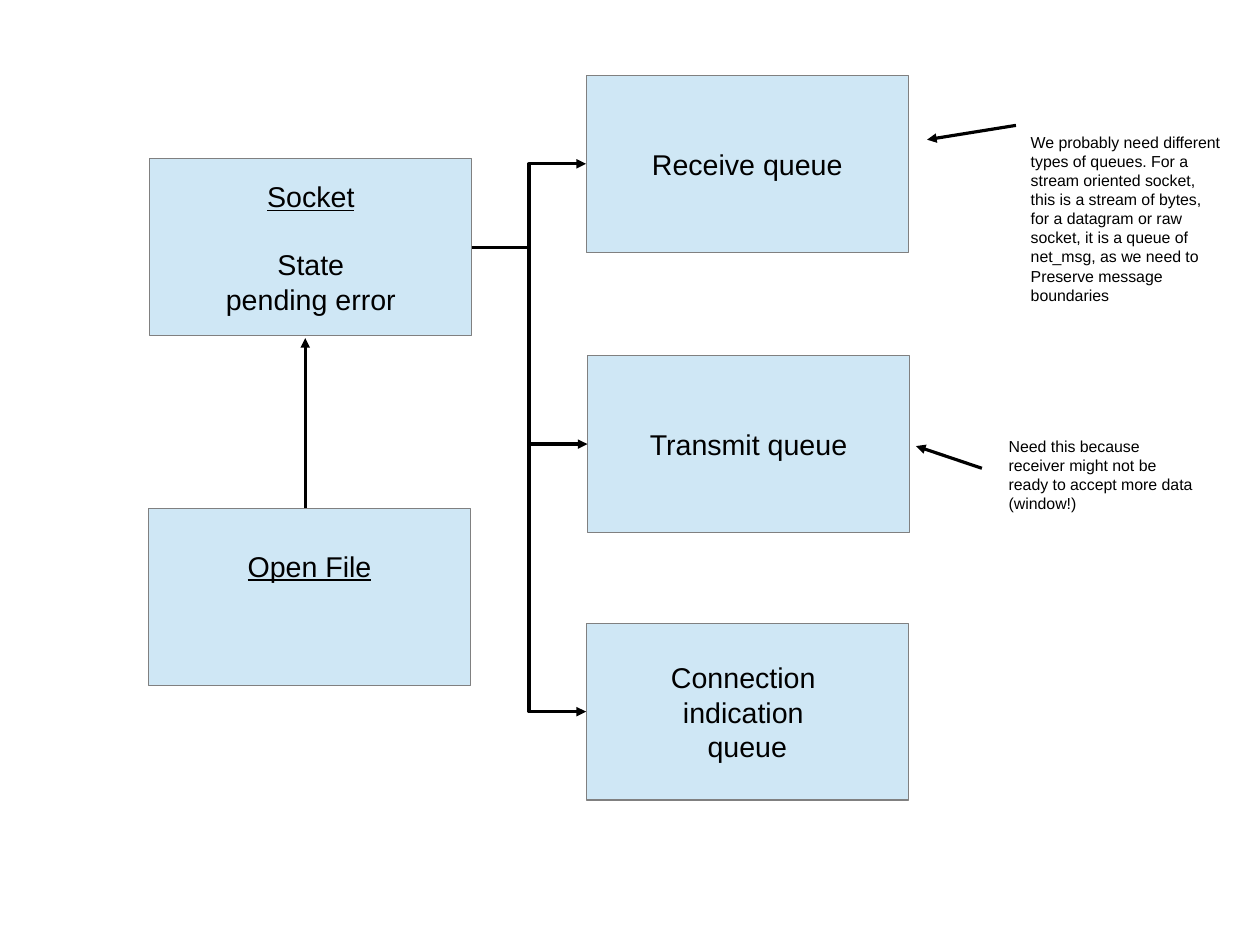
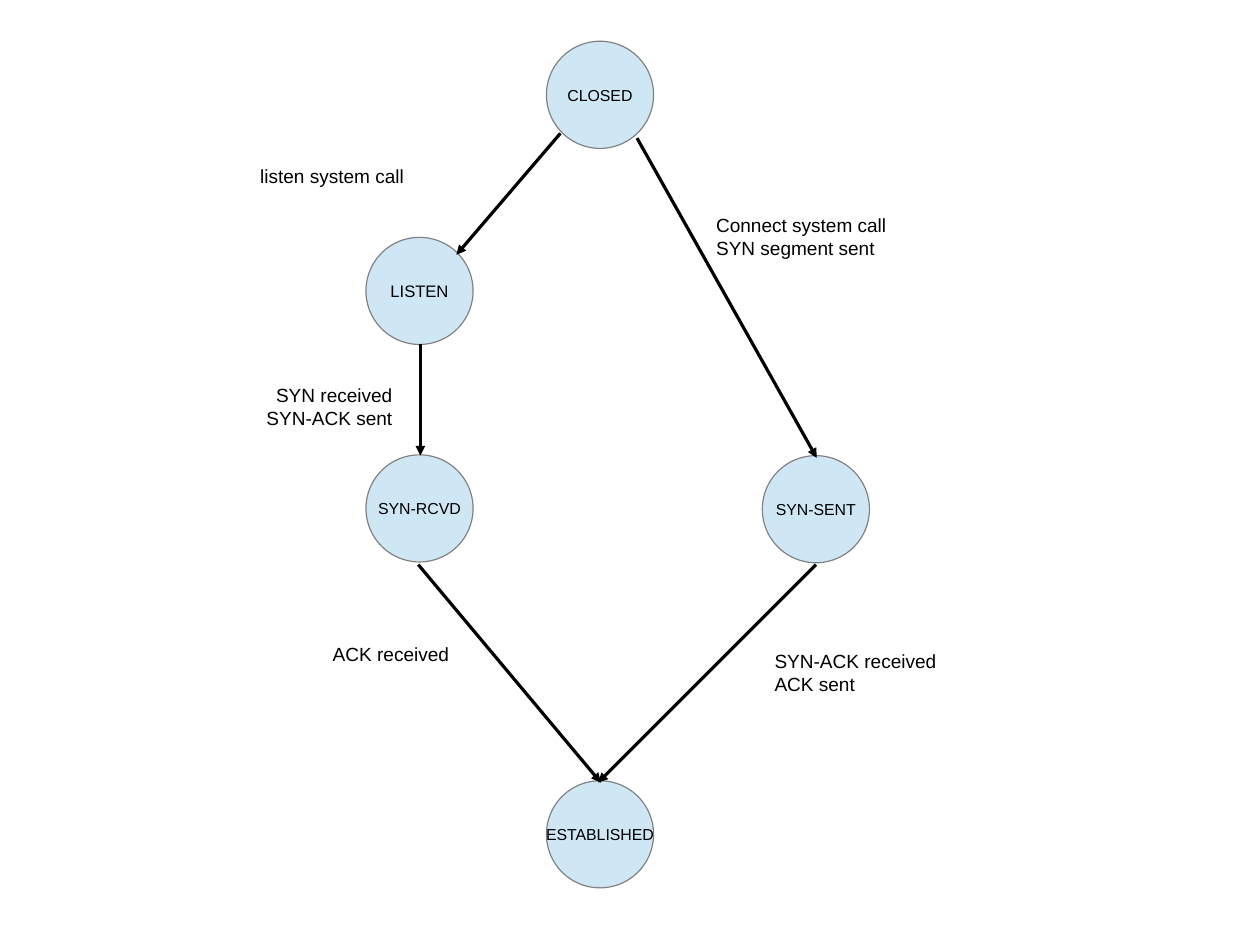
"""Draws the socket queues and the connection state chart."""
import dataclasses

import pptx
import pptx.dml.color
import pptx.enum.shapes
import pptx.enum.text
import pptx.oxml
import pptx.oxml.ns
import pptx.util

Pt = pptx.util.Pt
RGB = pptx.dml.color.RGBColor
Shape = pptx.enum.shapes.MSO_SHAPE
Link = pptx.enum.shapes.MSO_CONNECTOR
Align = pptx.enum.text.PP_ALIGN
Anchor = pptx.enum.text.MSO_ANCHOR
Fit = pptx.enum.text.MSO_AUTO_SIZE


@dataclasses.dataclass(frozen=True)
class Theme:
    """Holds the colours, type sizes and lengths that the slides share."""
    font: str = "Arial"
    ink: RGB = RGB(0, 0, 0)
    fill: RGB = RGB(0xCF, 0xE7, 0xF5)
    edge: RGB = RGB(0x80, 0x80, 0x80)
    head: float = 18
    label: float = 12
    note: float = 10
    hair: float = 0
    wide: float = 203
    tall: float = 111.5
    disc: float = 67.5
    gap: float = 21.5


THEME = Theme()


def write(frame, text, size, align):
    """Fills a text frame with one style of text."""
    frame.text = text
    for para in frame.paragraphs:
        para.alignment = align
        para.font.name = THEME.font
        para.font.size = Pt(size)
        para.font.color.rgb = THEME.ink


def node(slide, kind, left, top, wide, tall, text, size):
    """Adds a filled shape with centred text."""
    shape = slide.shapes.add_shape(kind, Pt(left), Pt(top), Pt(wide), Pt(tall))
    shape.shadow.inherit = False
    shape.fill.solid()
    shape.fill.fore_color.rgb = THEME.fill
    shape.line.color.rgb = THEME.edge
    shape.line.width = Pt(THEME.hair)
    frame = shape.text_frame
    frame.word_wrap = False
    frame.vertical_anchor = Anchor.MIDDLE
    write(frame, text, size, Align.CENTER)
    return shape


def box(slide, left, top, text):
    """Adds a box with large text."""
    return node(slide, Shape.RECTANGLE, left, top, THEME.wide, THEME.tall, text, THEME.head)


def state(slide, left, top, text, size=THEME.note):
    """Adds a round state."""
    return node(slide, Shape.OVAL, left, top, THEME.disc, THEME.disc, text, size)


def note(slide, left, top, wide, tall, text, size, align=Align.LEFT):
    """Adds a wrapped text box."""
    shape = slide.shapes.add_textbox(Pt(left), Pt(top), Pt(wide), Pt(tall))
    frame = shape.text_frame
    frame.word_wrap = True
    frame.auto_size = Fit.SHAPE_TO_FIT_TEXT
    write(frame, text, size, align)


def arrow(slide, start, end, kind=Link.STRAIGHT):
    """Adds a hairline with an arrowhead at its end."""
    line = slide.shapes.add_connector(kind, *map(Pt, start + end))
    line.line.color.rgb = THEME.ink
    line.line.width = Pt(THEME.hair)
    tip = pptx.oxml.parse_xml(
        f'<a:tailEnd {pptx.oxml.ns.nsdecls("a")} type="triangle"/>')
    line.line._get_or_add_ln().append(tip)
    flat = pptx.oxml.parse_xml(f'<a:effectLst {pptx.oxml.ns.nsdecls("a")}/>')
    line._element.spPr.append(flat)
    return line


def elbow(slide, source, goal):
    """Joins the right side of one box to the left side of another."""
    line = arrow(slide, (0, 0), (0, 0), Link.ELBOW)
    line.begin_connect(source, 3)
    line.end_connect(goal, 1)


def queues(slide):
    """Draws the socket, its file and its queues."""
    goals = [box(slide, *spot) for spot in (
        (369.2, 47.5, "Receive queue"),
        (370, 224, "Transmit queue"),
        (369.2, 392.5, "Connection \vindication \nqueue"))]

    socket = box(slide, 94.3, 100, "Socket\nState\vpending error")
    title, body = socket.text_frame.paragraphs
    title.font.underline = True
    body.space_before = Pt(THEME.gap)

    file = box(slide, 93.5, 320.3, "Open File")
    file.text_frame.paragraphs[0].font.underline = True
    file.text_frame.margin_bottom = Pt(2 * THEME.gap)

    for goal in goals:
        elbow(slide, socket, goal)
    for start, end in (
            ((618.5, 295), (577, 281)),
            ((192.3, 320), (192.3, 213)),
            ((640, 79), (584, 88))):
        arrow(slide, start, end)

    note(slide, 628.3, 271.5, 134, 52,
         "Need this because receiver might not be ready to accept more data (window!)",
         THEME.note)
    note(slide, 642.2, 80, 134, 107,
         "We probably need different types of queues. For a stream oriented socket, "
         "this is a stream of bytes, for a datagram or raw socket, it is a queue of "
         "net_msg, as we need to\nPreserve message boundaries", THEME.note)


def states(slide):
    """Draws the states of a connection and the steps between them."""
    for spot in (
            (344.2, 26, "CLOSED"),
            (480.2, 287, "SYN-SENT"),
            (230.5, 149.5, "LISTEN", 10.5),
            (230.5, 286.5, "SYN-RCVD"),
            (344.2, 491.8, "ESTABLISHED")):
        state(slide, *spot)
    for start, end in (
            ((353, 84), (287.5, 160.5)),
            ((264.8, 217), (264.8, 287)),
            ((401.3, 87), (514.5, 288.5)),
            ((263.5, 355.7), (378.5, 493)),
            ((514, 355.7), (376.8, 493))):
        arrow(slide, start, end)
    for left, top, tall, text, align in (
            (444, 131, 34, "Connect system call\vSYN segment sent", Align.LEFT),
            (156.8, 100, 21, "listen system call", Align.LEFT),
            (63.5, 238.3, 34, "SYN received\vSYN-ACK sent", Align.RIGHT),
            (480.8, 405.5, 34, "SYN-ACK received\vACK sent", Align.LEFT),
            (99.2, 401, 21, "ACK received", Align.RIGHT)):
        note(slide, left, top, 190.8, tall, text, THEME.label, align)


def main():
    """Builds and saves the slides."""
    deck = pptx.Presentation()
    deck.slide_width, deck.slide_height = Pt(793.7), Pt(595.28)
    for draw in (queues, states):
        draw(deck.slides.add_slide(deck.slide_layouts[6]))
    deck.save("out.pptx")


if __name__ == "__main__":
    main()
